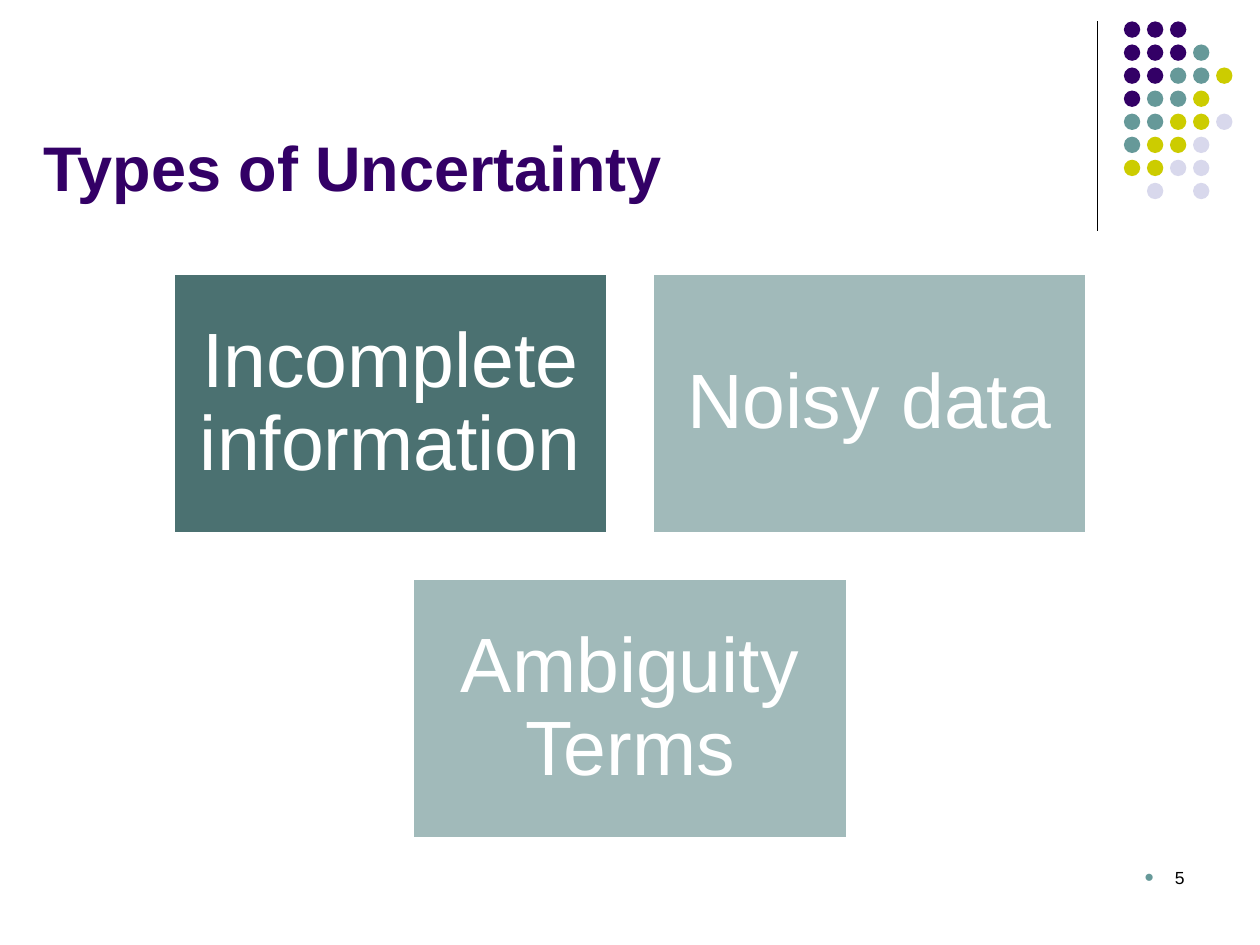
from lxml.etree import SubElement as Sub
from pptx import Presentation
from pptx.dml.color import RGBColor as RGB
from pptx.enum.shapes import MSO_CONNECTOR as Link, MSO_SHAPE as Kind
from pptx.enum.text import MSO_ANCHOR as Anchor, PP_ALIGN as Align
from pptx.oxml.ns import qn
from pptx.util import Inches as In, Pt

# Content
TITLE = "Types of Uncertainty"
PAGE = "5"
CARDS = [  # text, colour, column, row (columns in card steps)
    ("Incomplete information", "dark", 0, 0),
    ("Noisy data", "pale", 1, 0),
    ("Ambiguity Terms", "pale", 0.5, 1),
]
DOTS = ["PPP", "PPPT", "PPTTY", "PTTY", "TTYYL", "TYYL", "YYLL", " L L"]
KEYS = {"P": "plum", "T": "teal", "Y": "lime", "L": "lilac"}
HUES = {
    "plum": "330066", "teal": "669999", "lime": "CCCC00", "lilac": "D8D8EC",
    "dark": "4B7171", "pale": "A1BABA", "white": "FFFFFF", "black": "000000",
}

# Grid, in inches
WIDE, HIGH = 10, 7.5
CARD_W, CARD_H, GAP, TOP = 3.45, 2.07, 0.35, 2.17
LEFT = (WIDE - 2 * CARD_W - GAP) / 2
DOT, STEP, DOT_X, DOT_Y = 0.13, 0.183, 8.92, 0.17


def hue(name):
    return RGB.from_string(HUES[name])


def draw(kind, x, y, w, h, fill):
    shape = slide.shapes.add_shape(kind, In(x), In(y), In(w), In(h))
    shape.shadow.inherit = False
    shape.fill.solid()
    shape.fill.fore_color.rgb = hue(fill)
    shape.line.fill.background()
    return shape


def write(shape, text, size, color, align, anchor, bold=False):
    frame = shape.text_frame
    frame.word_wrap = True
    frame.vertical_anchor = anchor
    para = frame.paragraphs[0]
    para.alignment = align
    run = para.add_run()
    run.text = text
    font = run.font
    font.name, font.size, font.bold = "Arial", Pt(size), bold
    font.color.rgb = hue(color)
    return para


def label(x, y, w, h, *args):
    box = slide.shapes.add_textbox(In(x), In(y), In(w), In(h))
    return write(box, *args)


deck = Presentation()
deck.slide_width, deck.slide_height = In(WIDE), In(HIGH)
slide = deck.slides.add_slide(deck.slide_layouts[6])

# Corner rule
rule = slide.shapes.add_connector(
    Link.STRAIGHT, In(8.71), In(0.17), In(8.71), In(1.83))
rule.line.color.rgb = hue("black")
rule.line.width = Pt(0.75)
Sub(rule._element.spPr, qn("a:effectLst"))

# Corner dots
for row, keys in enumerate(DOTS):
    for col, key in enumerate(keys):
        if key in KEYS:
            draw(Kind.OVAL, DOT_X + col * STEP, DOT_Y + row * STEP,
                 DOT, DOT, KEYS[key])

# Title
label(0.25, 0.25, 8.42, 1.42, TITLE, 36, "plum", Align.LEFT,
      Anchor.BOTTOM, True)

# Cards
for text, fill, col, row in CARDS:
    card = draw(Kind.RECTANGLE, LEFT + col * (CARD_W + GAP),
                TOP + row * (CARD_H + GAP), CARD_W, CARD_H, fill)
    card.line.color.rgb = hue("white")
    card.line.width = Pt(2)
    frame = card.text_frame
    frame.margin_left = frame.margin_right = In(0.18)
    frame.margin_top = frame.margin_bottom = In(0.18)
    para = write(card, text, 44, "white", Align.CENTER, Anchor.MIDDLE)
    para.line_spacing = 0.9

# Page number with its bullet
para = label(7.17, 6.83, 2.33, 0.5, PAGE, 10, "black", Align.RIGHT, Anchor.TOP)
props = para._p.get_or_add_pPr()
props.set("marL", str(In(0.24)))
props.set("indent", str(-In(0.24)))
tint = Sub(props, qn("a:buClr"))
Sub(tint, qn("a:srgbClr"), val=HUES["teal"])
Sub(props, qn("a:buSzPct"), val="150000")
Sub(props, qn("a:buFont"), typeface="Arial")
Sub(props, qn("a:buChar"), char="•")

deck.save("out.pptx")
